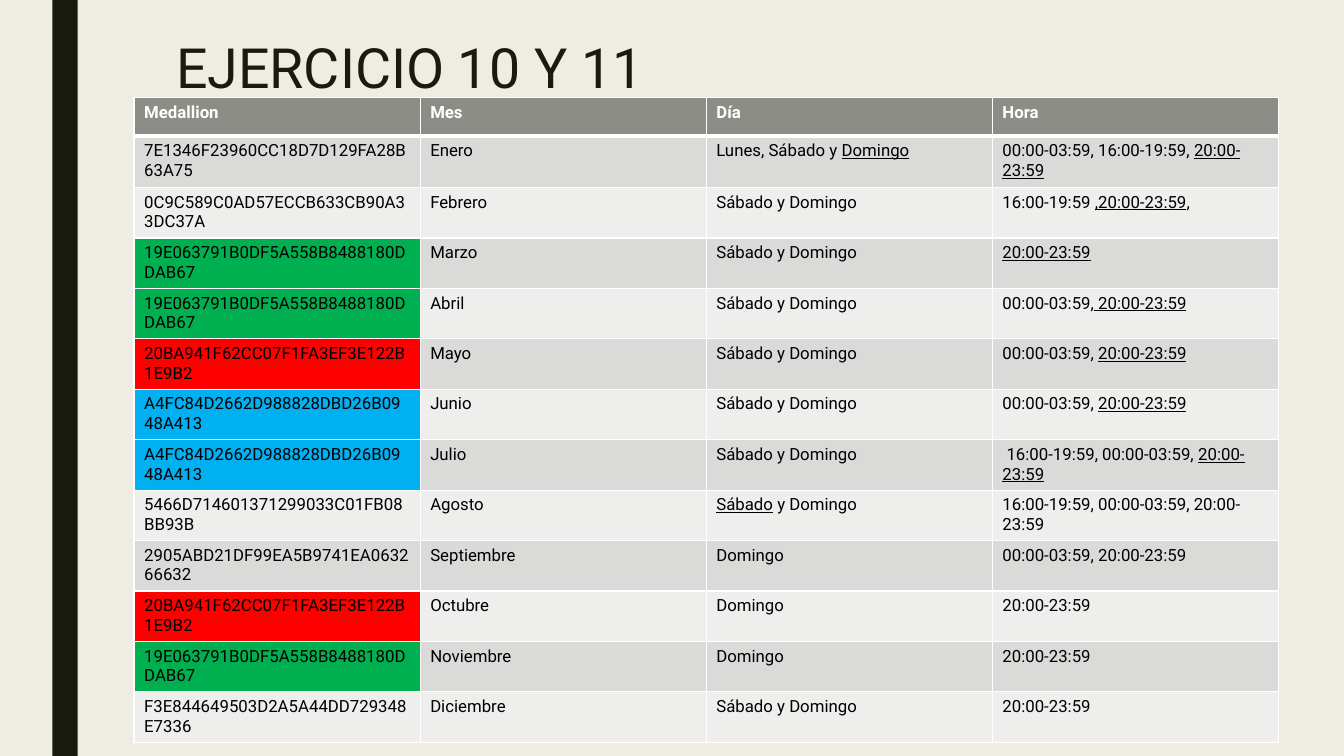
from pptx import Presentation, util as u
from pptx.dml.color import RGBColor
from pptx.enum import shapes, text
from pptx.oxml import parse_xml
from pptx.oxml.ns import nsdecls

FONT = "Roboto"
DARK, WHITE, BLACK = "191B0E", "FFFFFF", "000000"
HEADER_FILL, BANDS = "8C8D86", ("DADBD9", "EEEEED")
GREEN, RED, BLUE = "00B050", "FF0000", "00B0F0"

HEADINGS = ("Medallion", "Mes", "Día", "Hora")
WEEKEND, NIGHT = "Sábado y Domingo", "20:00-23:59"
GREEN_TAXI = "19E063791B0DF5A558B8488180DDAB67"
RED_TAXI = "20BA941F62CC07F1FA3EF3E122B1E9B2"
BLUE_TAXI = "A4FC84D2662D988828DBD26B0948A413"
REPEATED = {GREEN_TAXI: GREEN, RED_TAXI: RED, BLUE_TAXI: BLUE}

# Underscores enclose underlined words
MONTHS = [
    ("7E1346F23960CC18D7D129FA28B63A75", "Enero", "Lunes, Sábado y _Domingo_",
     f"00:00-03:59, 16:00-19:59, _{NIGHT}_"),
    ("0C9C589C0AD57ECCB633CB90A33DC37A", "Febrero", WEEKEND,
     f"16:00-19:59 _,{NIGHT}_,"),
    (GREEN_TAXI, "Marzo", WEEKEND, f"_{NIGHT}_"),
    (GREEN_TAXI, "Abril", WEEKEND, f"00:00-03:59,_ {NIGHT}_"),
    (RED_TAXI, "Mayo", WEEKEND, f"00:00-03:59, _{NIGHT}_"),
    (BLUE_TAXI, "Junio", WEEKEND, f"00:00-03:59, _{NIGHT}_"),
    (BLUE_TAXI, "Julio", WEEKEND, f" 16:00-19:59, 00:00-03:59, _{NIGHT}_"),
    ("5466D714601371299033C01FB08BB93B", "Agosto", "_Sábado_ y Domingo",
     f"16:00-19:59, 00:00-03:59, {NIGHT}"),
    ("2905ABD21DF99EA5B9741EA063266632", "Septiembre", "Domingo",
     f"00:00-03:59, {NIGHT}"),
    (RED_TAXI, "Octubre", "Domingo", NIGHT),
    (GREEN_TAXI, "Noviembre", "Domingo", NIGHT),
    ("F3E844649503D2A5A44DD729348E7336", "Diciembre", WEEKEND, NIGHT),
]


def paint(fill, colour):
    fill.solid()
    fill.fore_color.rgb = RGBColor.from_string(colour)


def write(frame, words, size=12, colour=BLACK, bold=False, spacing=None):
    paragraph = frame.paragraphs[0]
    paragraph.line_spacing = spacing
    for i, part in enumerate(words.split("_")):
        if part:
            run = paragraph.add_run()
            run.text = part
            run.font.name, run.font.size = FONT, u.Pt(size)
            run.font.bold, run.font.underline = bold, i % 2 == 1
            paint(run.font.fill, colour)


def add_borders(cell, **widths):
    properties = cell._tc.get_or_add_tcPr()
    for i, side in enumerate("LRTB"):
        properties.insert(i, parse_xml(
            f'<a:ln{side} {nsdecls("a")} w="{u.Pt(widths.get(side, 1))}">'
            f'<a:solidFill><a:srgbClr val="{WHITE}"/></a:solidFill></a:ln{side}>'))


def add_side_bar(slide, left, top, width, height):
    bar = slide.shapes.add_shape(shapes.MSO_SHAPE.RECTANGLE, left, top, width, height)
    bar.shadow.inherit = False
    paint(bar.fill, DARK)
    bar.line.fill.background()


def add_title(slide, left, top, width, height):
    frame = slide.shapes.add_textbox(left, top, width, height).text_frame
    frame.word_wrap = True
    frame.margin_top = u.Inches(0.08)
    frame.vertical_anchor = text.MSO_ANCHOR.TOP
    write(frame, "EJERCICIO 10 Y 11", size=39.6, colour=DARK, spacing=0.89)


def add_schedule(slide, left, top, width, height):
    schedule = slide.shapes.add_table(
        len(MONTHS) + 1, len(HEADINGS), left, top, width, height).table
    for column in schedule.columns:
        column.width = width // len(HEADINGS)

    # Header and first month have their own heights; the rest share what is left
    first_heights = [u.Inches(0.38), u.Inches(0.51)]
    shared = (height - sum(first_heights)) // (len(MONTHS) - 1)
    for row, row_height in zip(schedule.rows, first_heights + [shared] * (len(MONTHS) - 1)):
        row.height = row_height

    # Header
    for c, heading in enumerate(HEADINGS):
        cell = schedule.cell(0, c)
        paint(cell.fill, HEADER_FILL)
        add_borders(cell, B=3)
        write(cell.text_frame, heading, colour=WHITE, bold=True)

    # Months, with repeated medallions highlighted
    for r, month in enumerate(MONTHS):
        for c, words in enumerate(month):
            cell = schedule.cell(r + 1, c)
            paint(cell.fill, REPEATED.get(words, BANDS[r % 2]))
            add_borders(cell, T=3 if r == 0 else 1)
            write(cell.text_frame, words)


deck = Presentation()
deck.slide_width, deck.slide_height = u.Inches(13.33), u.Inches(7.5)
exercise = deck.slides.add_slide(deck.slide_layouts[6])
paint(exercise.background.fill, "EFEDE3")
add_side_bar(exercise, u.Inches(0.52), 0, u.Inches(0.25), deck.slide_height)
add_title(exercise, u.Inches(1.65), u.Inches(0.33), u.Inches(10.5), u.Inches(0.54))
add_schedule(exercise, u.Inches(1.33), u.Inches(0.97), u.Inches(11.35), u.Inches(6.28))
deck.save("out.pptx")
